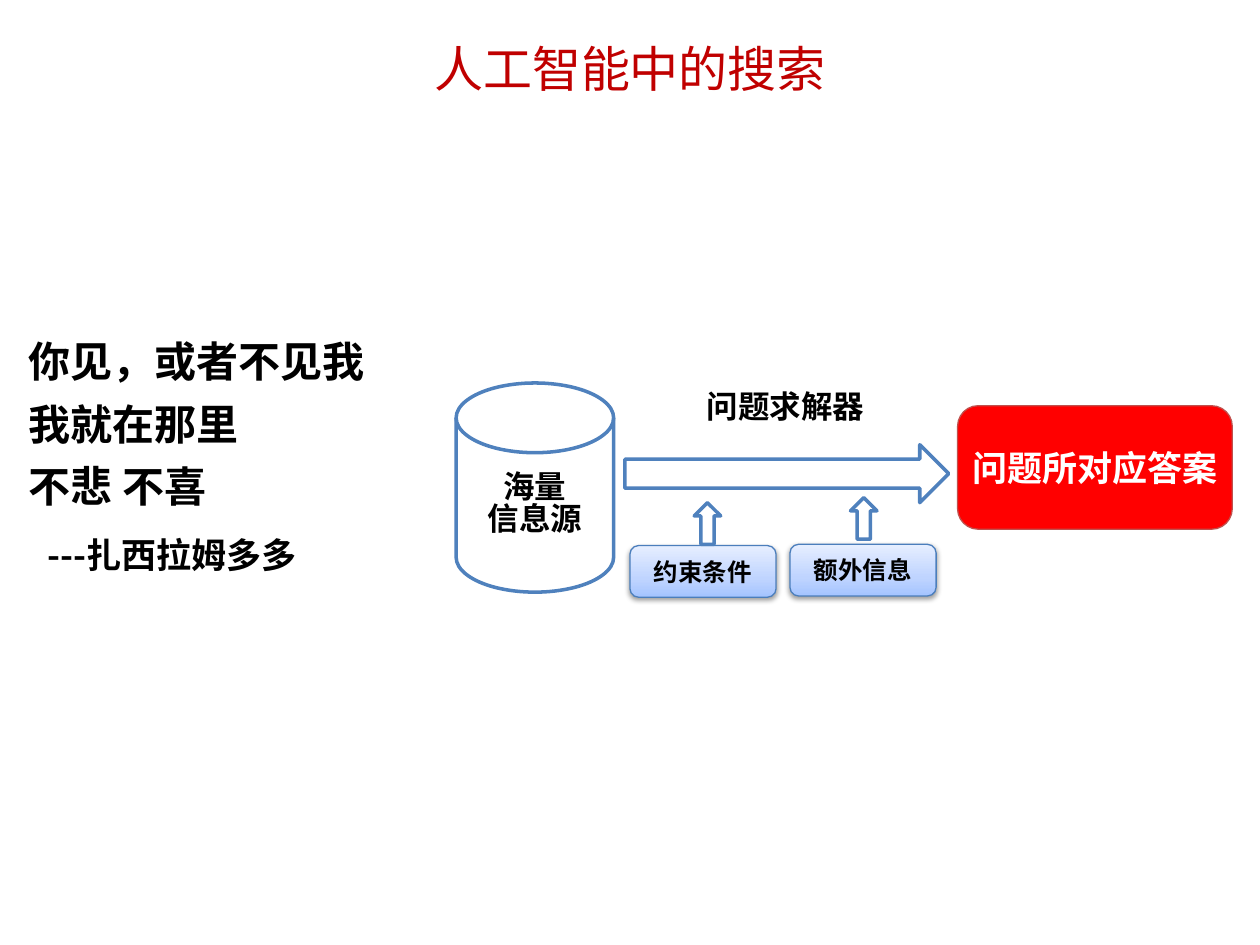
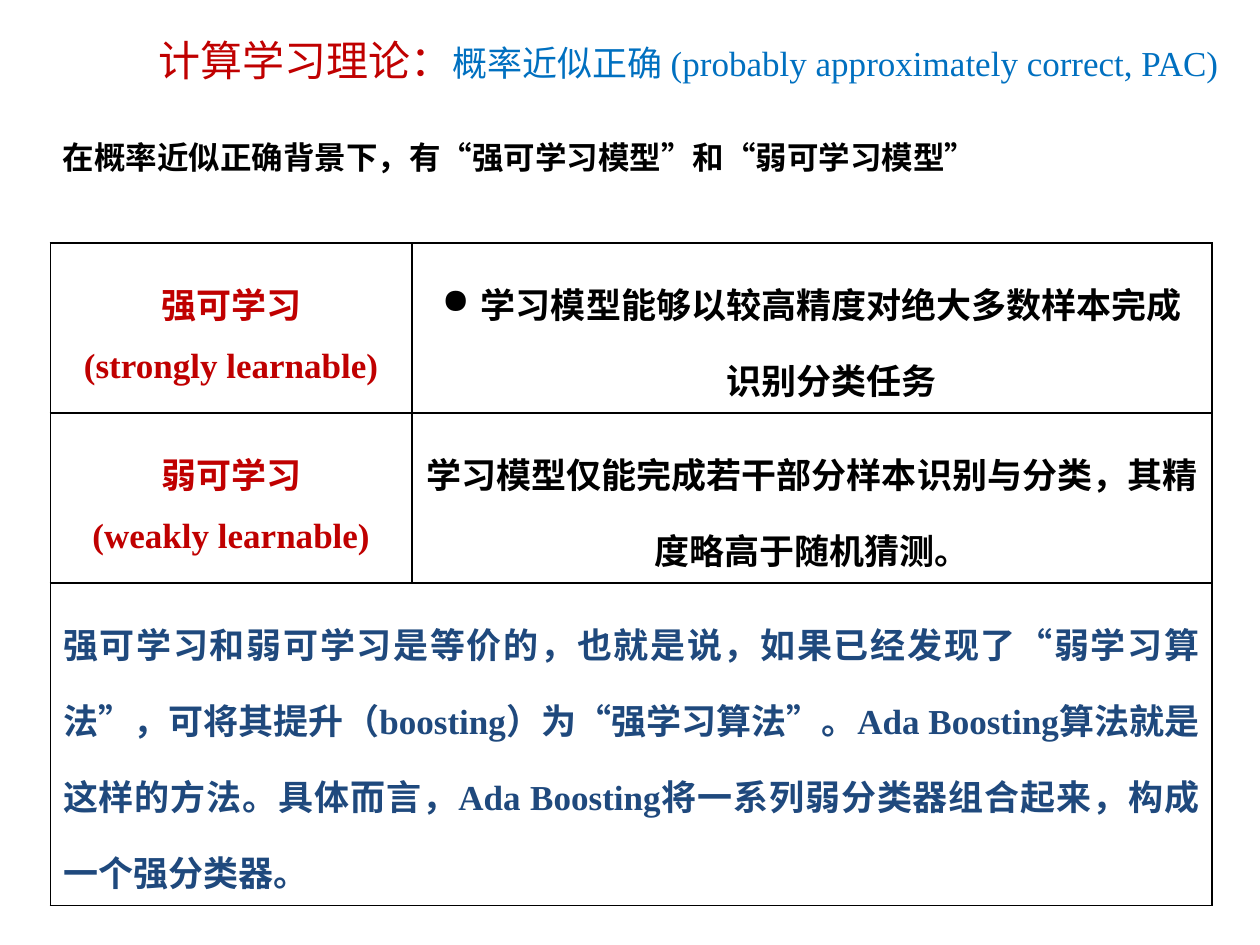
from copy import deepcopy
from dataclasses import dataclass

from lxml.etree import SubElement
from pptx import Presentation
from pptx.dml.color import RGBColor
from pptx.enum.shapes import MSO_SHAPE
from pptx.enum.text import MSO_ANCHOR, MSO_AUTO_SIZE, PP_ALIGN
from pptx.oxml import parse_xml
from pptx.oxml.ns import nsdecls, qn
from pptx.util import Inches, Pt


@dataclass(frozen=True)
class Theme:
    sans: str = "Noto Sans CJK SC"
    serif: str = "Times New Roman"
    red: str = "C00000"
    blue: str = "0070C0"
    navy: str = "1F497D"
    outline: str = "4F81BD"
    button_line: str = "4B7EBC"
    button_stops: tuple = ((0, "A4C4FF"), (0.35, "BFD4FF"), (1, "E6EEFF"))
    answer: str = "FF0000"
    answer_line: str = "C0504D"
    black: str = "000000"
    white: str = "FFFFFF"
    title: int = 28
    verse: int = 24
    body: int = 20
    label: int = 18
    small: int = 14


T = Theme()


def write(tf, text, size=T.body, color=T.black, font=T.sans, bold=True,
          align=PP_ALIGN.LEFT, spacing=1.0, anchor=MSO_ANCHOR.TOP,
          insets=(0.1, 0.05, 0.1, 0.05), wrap=True, more=False):
    """Write one paragraph per line of text; more=True continues the last one."""
    if not more:
        tf.auto_size = MSO_AUTO_SIZE.NONE
        tf.word_wrap = wrap
        tf.vertical_anchor = anchor
        tf.margin_left, tf.margin_top, tf.margin_right, tf.margin_bottom = map(Inches, insets)
    for i, line in enumerate(text.split("\n")):
        p = tf.paragraphs[-1] if i == 0 else tf.add_paragraph()
        p.alignment = align
        p.line_spacing = spacing
        r = p.add_run()
        r.text = line
        r.font.size = Pt(size)
        r.font.bold = bold
        r.font.color.rgb = RGBColor.from_string(color)
        r.font.name = font
        SubElement(r.font._element, qn("a:ea")).set("typeface", T.sans)
    return tf


def add_box(s, kind, at, fill=T.white, line=T.outline, width=2):
    sp = s.shapes.add_shape(kind, *map(Inches, at))
    sp.shadow.inherit = False
    sp.fill.solid()
    sp.fill.fore_color.rgb = RGBColor.from_string(fill)
    sp.line.color.rgb = RGBColor.from_string(line)
    sp.line.width = Pt(width)
    return sp


prs = Presentation()
prs.slide_width, prs.slide_height = Inches(10), Inches(7.5)
title_only = prs.slide_layouts[5]
title_style = dict(font=T.serif, bold=False, align=PP_ALIGN.CENTER, spacing=0.9)
centred = dict(align=PP_ALIGN.CENTER, anchor=MSO_ANCHOR.MIDDLE)

# Slide 1: search in artificial intelligence
s = prs.slides.add_slide(title_only)
title = s.shapes.title
title.left, title.top, title.width, title.height = map(Inches, (0.42, 0.15, 9.16, 0.72))
write(title.text_frame, "人工智能中的搜索", size=T.title, color=T.red,
      anchor=MSO_ANCHOR.MIDDLE, insets=(0.1, 0.16, 0.1, 0.05), **title_style)

# Verse and its author
verse = s.shapes.add_textbox(*map(Inches, (0.13, 2.52, 3.65, 2.52)))
tf = write(verse.text_frame, "你见，或者不见我\n我就在那里\n不悲 不喜", size=T.verse, spacing=1.24)
p = tf.add_paragraph()
p.space_before = Pt(7)
p._p.get_or_add_pPr().set("indent", str(Inches(0.15)))
write(tf, "---扎西拉姆多多", spacing=1.24, more=True)

# Information source, solver arrow and answer
source = add_box(s, MSO_SHAPE.FLOWCHART_MAGNETIC_DISK, (3.62, 3.04, 1.25, 1.66))
write(source.text_frame, "海量\n信息源", size=T.label, spacing=0.83, **centred)
add_box(s, MSO_SHAPE.RIGHT_ARROW, (4.96, 3.53, 2.57, 0.46))
solver = s.shapes.add_textbox(*map(Inches, (5.51, 3.02, 1.46, 0.4)))
write(solver.text_frame, "问题求解器", size=T.label, wrap=False)
answer = add_box(s, MSO_SHAPE.ROUNDED_RECTANGLE, (7.6, 3.22, 2.18, 0.98),
                 T.answer, T.answer_line, 0.75)
write(answer.text_frame, "问题所对应答案", color=T.white, wrap=False,
      insets=(0.1, 0, 0.1, 0), **centred)

# Inputs to the solver, each with an upward arrow
for text, x, y, arrow_x, arrow_y in (("约束条件", 5, 4.33, 5.51, 3.99),
                                     ("额外信息", 6.27, 4.32, 6.75, 3.95)):
    button = add_box(s, MSO_SHAPE.ROUNDED_RECTANGLE, (x, y, 1.16, 0.41),
                     line=T.button_line, width=0.75)
    button.fill.gradient()
    button.fill.gradient_angle = 90
    first_stop = button._element.spPr.find(".//" + qn("a:gs"))
    first_stop.addnext(deepcopy(first_stop))
    for stop, (position, color) in zip(button.fill.gradient_stops, T.button_stops):
        stop.position = position
        stop.color.rgb = RGBColor.from_string(color)
    button._element.spPr.find(qn("a:effectLst")).append(parse_xml(
        f'<a:outerShdw {nsdecls("a")} blurRad="{Pt(3.1)}" dist="{Pt(1.6)}" dir="5400000" '
        f'rotWithShape="0"><a:srgbClr val="{T.black}"><a:alpha val="38000"/></a:srgbClr>'
        '</a:outerShdw>'))
    write(button.text_frame, text, size=T.small, wrap=False,
          insets=(0.1, 0, 0.1, 0), **centred)
    add_box(s, MSO_SHAPE.UP_ARROW, (arrow_x, arrow_y, 0.21, 0.33))

# Slide 2: computational learning theory
s = prs.slides.add_slide(title_only)
title = s.shapes.title
title.left, title.top, title.width, title.height = map(Inches, (0.67, 0.27, 9.59, 0.72))
tf = write(title.text_frame, "计算学习理论：", size=T.verse, color=T.red, **title_style)
write(tf, "概率近似正确 (probably approximately correct, PAC)", color=T.blue,
      more=True, **title_style)

intro = s.shapes.add_textbox(*map(Inches, (0.4, 1.05, 7.52, 0.4)))
write(intro.text_frame, "在概率近似正确背景下，有“强可学习模型”和“弱可学习模型”",
      size=T.label, font=T.serif, wrap=False)

# Table of learnability
tbl = s.shapes.add_table(3, 2, *map(Inches, (0.4, 1.93, 9.22, 4.45))).table
tbl.first_row = tbl.horz_banding = False
for column, width in zip(tbl.columns, (2.87, 6.35)):
    column.width = Inches(width)
for row, height in zip(tbl.rows, (1.26, 1.26, 1.93)):
    row.height = Inches(height)
tbl.cell(2, 0).merge(tbl.cell(2, 1))

for cell in tbl.iter_cells():
    cell.fill.background()
    tcPr = cell._tc.get_or_add_tcPr()
    for i, side in enumerate(("lnL", "lnR", "lnT", "lnB")):
        tcPr.insert(i, parse_xml(
            f'<a:{side} {nsdecls("a")} w="{Pt(1)}"><a:solidFill>'
            f'<a:srgbClr val="{T.black}"/></a:solidFill></a:{side}>'))

# Bullet of the first description
pPr = tbl.cell(0, 1).text_frame.paragraphs[0]._p.get_or_add_pPr()
pPr.set("marL", str(Inches(0.31)))
pPr.set("indent", str(Inches(-0.31)))
SubElement(pPr, qn("a:buChar")).set("char", "●")

for row, column, text, color, align in (
        (0, 0, "强可学习\n(strongly learnable)", T.red, PP_ALIGN.CENTER),
        (0, 1, "学习模型能够以较高精度对绝大多数样本完成识别分类任务", T.black, PP_ALIGN.CENTER),
        (1, 0, "弱可学习\n(weakly learnable)", T.red, PP_ALIGN.CENTER),
        (1, 1, "学习模型仅能完成若干部分样本识别与分类，其精度略高于随机猜测。",
         T.black, PP_ALIGN.CENTER),
        (2, 0, "强可学习和弱可学习是等价的，也就是说，如果已经发现了“弱学习算法”，"
               "可将其提升（boosting）为“强学习算法”。Ada Boosting算法就是这样的方法。"
               "具体而言，Ada Boosting将一系列弱分类器组合起来，构成一个强分类器。",
         T.navy, PP_ALIGN.JUSTIFY)):
    cell = tbl.cell(row, column)
    cell.margin_left = cell.margin_right = Inches(0.1)
    cell.margin_top = cell.margin_bottom = Inches(0.07)
    write(cell.text_frame, text, color=color, font=T.serif, align=align,
          spacing=1.5, more=True)

prs.save("out.pptx")
